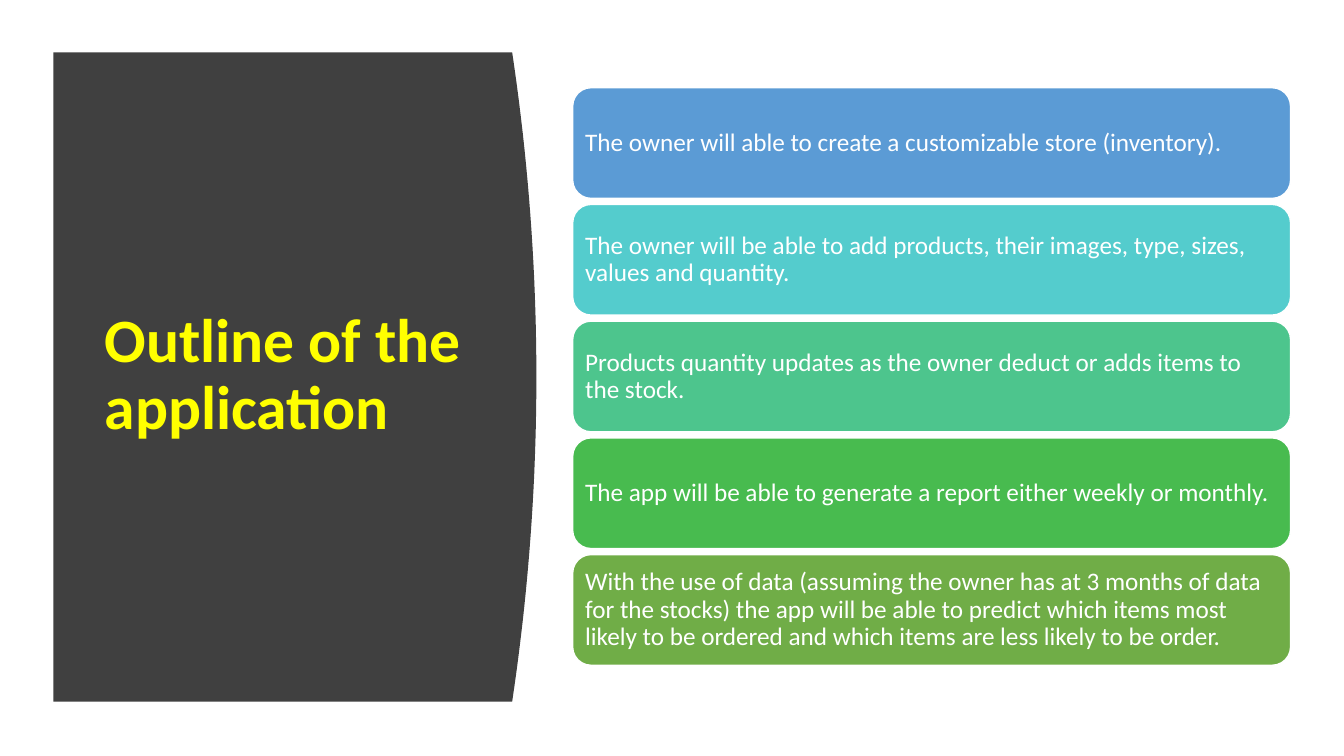
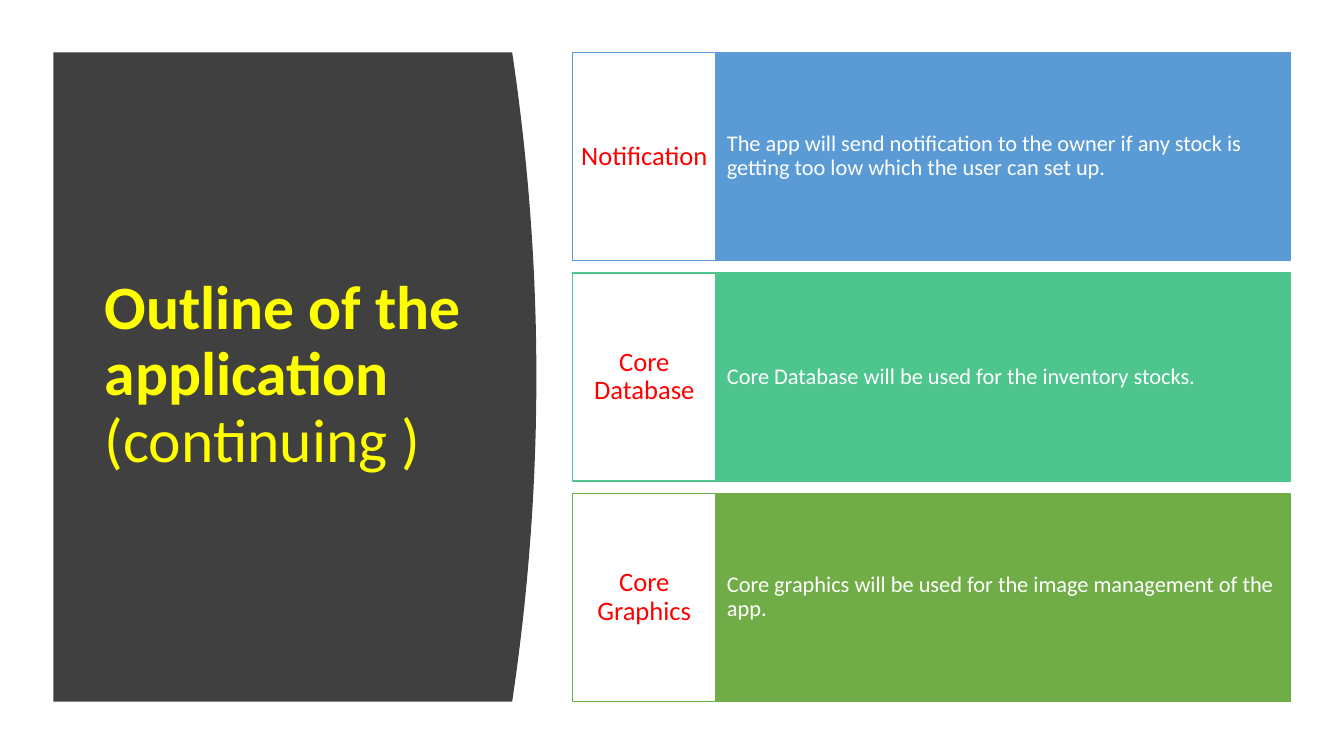
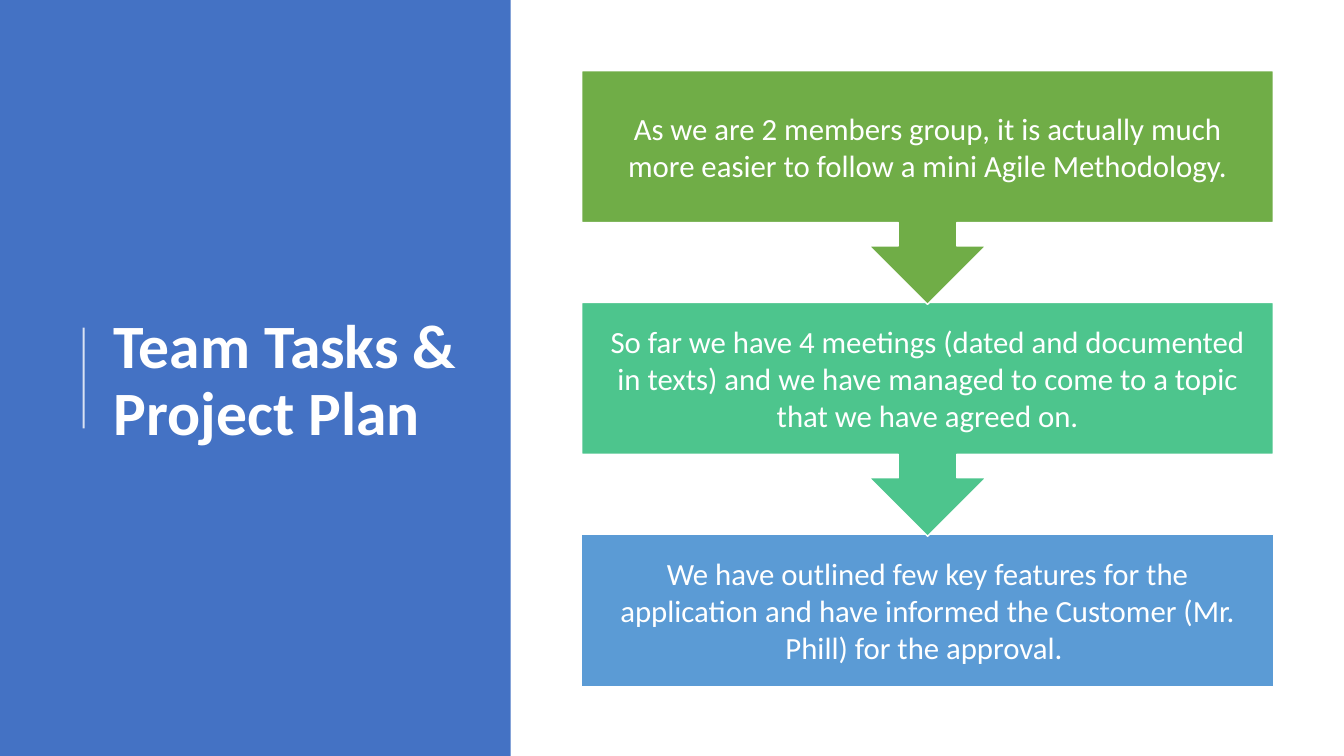
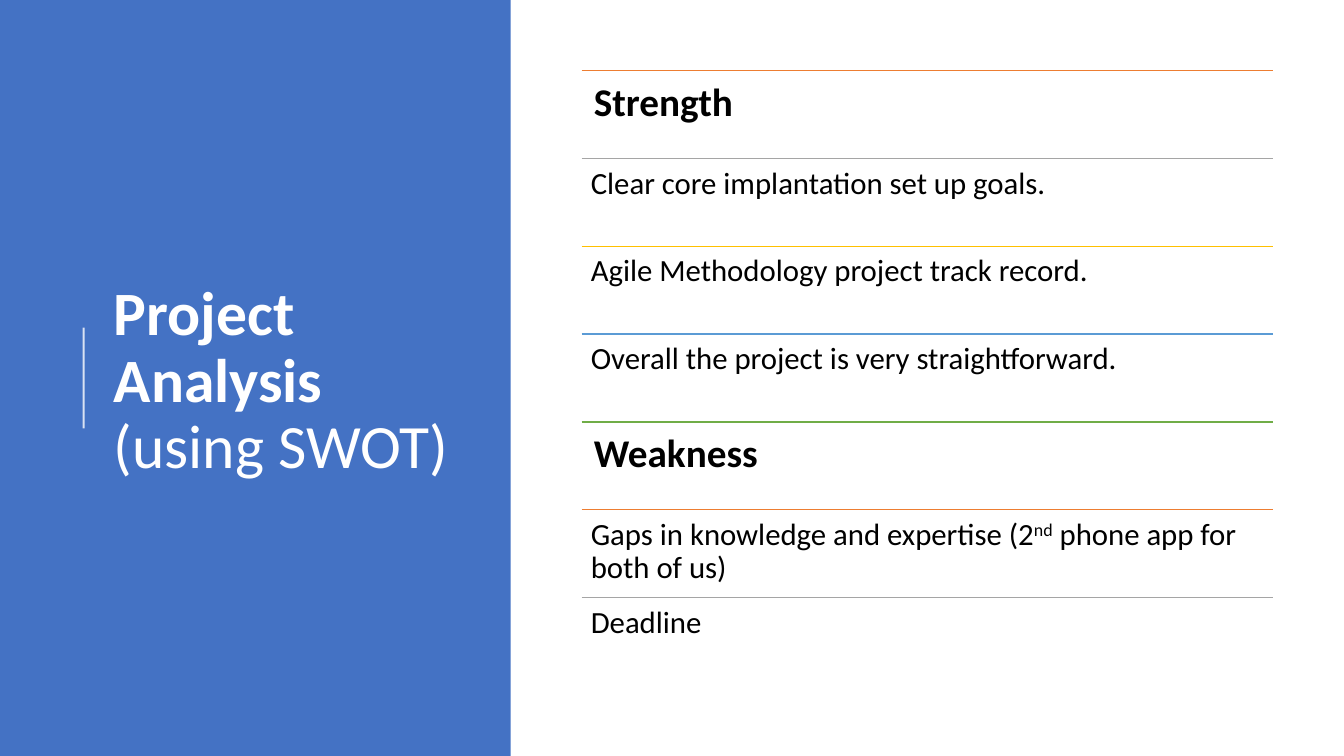
from lxml import etree
from pptx import Presentation
from pptx.dml.color import RGBColor
from pptx.enum.shapes import MSO_CONNECTOR, MSO_SHAPE
from pptx.enum.text import MSO_ANCHOR, PP_ALIGN
from pptx.oxml.ns import qn
from pptx.util import Inches, Pt

# Shared look
WIDTH, HEIGHT = 13.33, 7.5
FONT = "Calibri"
WHITE = RGBColor(0xFF, 0xFF, 0xFF)
BLACK = RGBColor(0x00, 0x00, 0x00)
RED = RGBColor(0xFF, 0x00, 0x00)
YELLOW = RGBColor(0xFF, 0xFF, 0x00)
CHARCOAL = RGBColor(0x40, 0x40, 0x40)
ROYAL = RGBColor(0x44, 0x72, 0xC4)
BLUE = RGBColor(0x5B, 0x9B, 0xD5)
TEAL = RGBColor(0x54, 0xCC, 0xCD)
MINT = RGBColor(0x4D, 0xC5, 0x8D)
GREEN = RGBColor(0x48, 0xBB, 0x4F)
OLIVE = RGBColor(0x70, 0xAD, 0x47)
ORANGE = RGBColor(0xED, 0x7D, 0x31)
GREY = RGBColor(0xA5, 0xA5, 0xA5)
GOLD = RGBColor(0xFF, 0xC0, 0x00)

RECT = MSO_SHAPE.RECTANGLE
ROUNDED = MSO_SHAPE.ROUNDED_RECTANGLE
CALLOUT = MSO_SHAPE.DOWN_ARROW_CALLOUT
STRAIGHT = MSO_CONNECTOR.STRAIGHT
LEFT, CENTER = PP_ALIGN.LEFT, PP_ALIGN.CENTER
TOP, MIDDLE = MSO_ANCHOR.TOP, MSO_ANCHOR.MIDDLE

# Content columns: left edge and width
OUTLINE_LEFT, OUTLINE_WIDTH = 5.68, 7.12
LABEL_WIDTH = 1.42
PLAN_LEFT, PLAN_WIDTH = 5.77, 6.86

# Content
FEATURES = [
    (BLUE, "The owner will able to create a customizable store (inventory)."),
    (TEAL, "The owner will be able to add products, their images, type, sizes, "
           "values and quantity."),
    (MINT, "Products quantity updates as the owner deduct or adds items to the stock."),
    (GREEN, "The app will be able to generate a report either weekly or monthly."),
    (OLIVE, "With the use of data (assuming the owner has at 3 months of data for "
            "the stocks) the app will be able to predict which items most likely to "
            "be ordered and which items are less likely to be order."),
]
COMPONENTS = [
    (BLUE, "Notification", "The app will send notification to the owner if any stock "
                           "is getting too low which the user can set up."),
    (MINT, "Core Database", "Core Database will be used for the inventory stocks."),
    (OLIVE, "Core Graphics", "Core graphics will be used for the image management "
                             "of the app."),
]
STEPS = [
    (OLIVE, "As we are 2 members group, it is actually much more easier to follow "
            "a mini Agile Methodology."),
    (MINT, "So far we have 4 meetings (dated and documented in texts) and we have "
           "managed to come to a topic that we have agreed on."),
    (BLUE, "We have outlined few key features for the application and have informed "
           "the Customer (Mr. Phill) for the approval. "),
]
# Rule colour, is it a heading, text pieces (every second piece is superscript)
SWOT = [
    (ORANGE, True, ["Strength"]),
    (GREY, False, ["Clear core implantation set up goals."]),
    (GOLD, False, ["Agile Methodology project track record."]),
    (BLUE, False, ["Overall the project is very straightforward."]),
    (OLIVE, True, ["Weakness"]),
    (ORANGE, False, ["Gaps in knowledge and expertise (2", "nd",
                     " phone app for both of us)"]),
    (GREY, False, ["Deadline"]),
]


def grid_rows(top, height, count, gap=0):
    """Return the row tops and the row height of an evenly divided column."""
    row_height = (height - gap * (count - 1)) / count
    return [top + i * (row_height + gap) for i in range(count)], row_height


def write(shape, pieces, size, color, inset=(0.1, 0.05), align=LEFT,
          anchor=MIDDLE, spacing=0.9, bold=False):
    """Fill a shape with one paragraph and return its runs."""
    frame = shape.text_frame
    frame.word_wrap = True
    frame.vertical_anchor = anchor
    frame.margin_left = frame.margin_right = Inches(inset[0])
    frame.margin_top = frame.margin_bottom = Inches(inset[1])
    paragraph = frame.paragraphs[0]
    paragraph.alignment = align
    paragraph.line_spacing = spacing
    for piece in pieces:
        run = paragraph.add_run()
        run.text = piece
        run.font.name, run.font.size = FONT, Pt(size)
        run.font.bold = bold
        run.font.color.rgb = color
    return paragraph.runs


def text_box(slide, left, top, width, height):
    return slide.shapes.add_textbox(*map(Inches, (left, top, width, height)))


def paint(shape, fill, outline=None):
    shape.shadow.inherit = False
    shape.fill.solid()
    shape.fill.fore_color.rgb = fill
    if outline is None:
        shape.line.fill.background()
    else:
        shape.line.color.rgb = outline
        shape.line.width = Pt(1)


def block(slide, kind, left, top, width, height, fill, outline=None):
    shape = slide.shapes.add_shape(kind, *map(Inches, (left, top, width, height)))
    paint(shape, fill, outline)
    return shape


def rule(slide, x1, y1, x2, y2, color, weight=1, opacity=100):
    line = slide.shapes.add_connector(STRAIGHT, *map(Inches, (x1, y1, x2, y2)))
    line.line.color.rgb = color
    line.line.width = Pt(weight)
    properties = line._element.spPr
    if opacity < 100:
        tint = properties.find(".//" + qn("a:srgbClr"))
        etree.SubElement(tint, qn("a:alpha")).set("val", str(opacity * 1000))
    etree.SubElement(properties, qn("a:effectLst"))


def title(slide, box, color, heading, note):
    runs = write(text_box(slide, *box), [heading, note] if note else [heading],
                 44, color, bold=True)
    for run in runs[1:]:
        run.font.bold = False


def curved_panel(slide, heading, note=""):
    """Dark panel whose right edge bulges as a parabola."""
    left, top, bottom, corner, bulge, steps = 0.53, 0.52, 6.96, 5.08, 0.24, 40
    edge = []
    for i in range(steps + 1):
        t = i / steps
        edge.append((Inches(corner + bulge * 4 * t * (1 - t)),
                     Inches(top + (bottom - top) * t)))
    builder = slide.shapes.build_freeform(Inches(left), Inches(top))
    builder.add_line_segments(edge + [(Inches(left), Inches(bottom))], close=True)
    paint(builder.convert_to_shape(), CHARCOAL)
    title(slide, (0.94, 1.11, 3.74, 5.24), YELLOW, heading, note)


def side_band(slide, heading, note=""):
    """Full-height blue band with a thin rule beside the title."""
    block(slide, RECT, 0, 0, WIDTH * 0.38, HEIGHT, ROYAL)
    title(slide, (1.03, 0.78, 3.69, 6.02), WHITE, heading, note)
    rule(slide, 0.83, 4.25, 0.83, 3.25, WHITE, 1.5, opacity=80)


def feature_list(slide):
    tops, height = grid_rows(0.87, 5.73, len(FEATURES), 0.06)
    for top, (color, text) in zip(tops, FEATURES):
        card = block(slide, ROUNDED, OUTLINE_LEFT, top, OUTLINE_WIDTH, height,
                     color, WHITE)
        write(card, [text], 18, WHITE, (0.07, 0.07))


def component_list(slide):
    tops, height = grid_rows(0.52, 6.44, len(COMPONENTS), 0.12)
    for top, (color, name, text) in zip(tops, COMPONENTS):
        detail = block(slide, RECT, OUTLINE_LEFT + LABEL_WIDTH, top,
                       OUTLINE_WIDTH - LABEL_WIDTH, height, color, color)
        write(detail, [text], 16, WHITE, (0.11, 0.52))
        label = block(slide, RECT, OUTLINE_LEFT, top, LABEL_WIDTH, height,
                      WHITE, color)
        write(label, [name], 19, RED, (0.08, 0.2), CENTER)


def step_flow(slide):
    """Stack the steps from the bottom up so each arrow tip lies on the next."""
    first, pitch, box_height, callout_height = 0.7, 2.3, 1.51, 2.32
    last = len(STEPS) - 1
    for i in range(last, -1, -1):
        color, text = STEPS[i]
        kind, height = (RECT, box_height) if i == last else (CALLOUT, callout_height)
        step = block(slide, kind, PLAN_LEFT, first + i * pitch, PLAN_WIDTH, height,
                     color, WHITE)
        write(step, [text], 22, WHITE, (0.17, 0.17), CENTER, spacing=1)


def swot_list(slide):
    tops, height = grid_rows(0.7, 6.1, len(SWOT))
    for top, (color, is_heading, pieces) in zip(tops, SWOT):
        rule(slide, PLAN_LEFT, top, PLAN_LEFT + PLAN_WIDTH, top, color)
        size, inset = (28, 0.12) if is_heading else (22, 0.09)
        entry = text_box(slide, PLAN_LEFT, top, PLAN_WIDTH, height)
        runs = write(entry, pieces, size, BLACK, (inset, inset), anchor=TOP,
                     bold=is_heading)
        for raised in runs[1::2]:
            raised._r.get_or_add_rPr().set("baseline", "30000")


def main():
    deck = Presentation()
    deck.slide_width, deck.slide_height = Inches(WIDTH), Inches(HEIGHT)
    pages = [
        (curved_panel, ("Outline of the application",), feature_list),
        (curved_panel, ("Outline of the application ", "(continuing )"),
         component_list),
        (side_band, ("Team Tasks & Project Plan",), step_flow),
        (side_band, ("Project Analysis ", "(using SWOT)"), swot_list),
    ]
    for panel, heading, content in pages:
        slide = deck.slides.add_slide(deck.slide_layouts[6])
        panel(slide, *heading)
        content(slide)
    deck.save("out.pptx")


if __name__ == "__main__":
    main()
